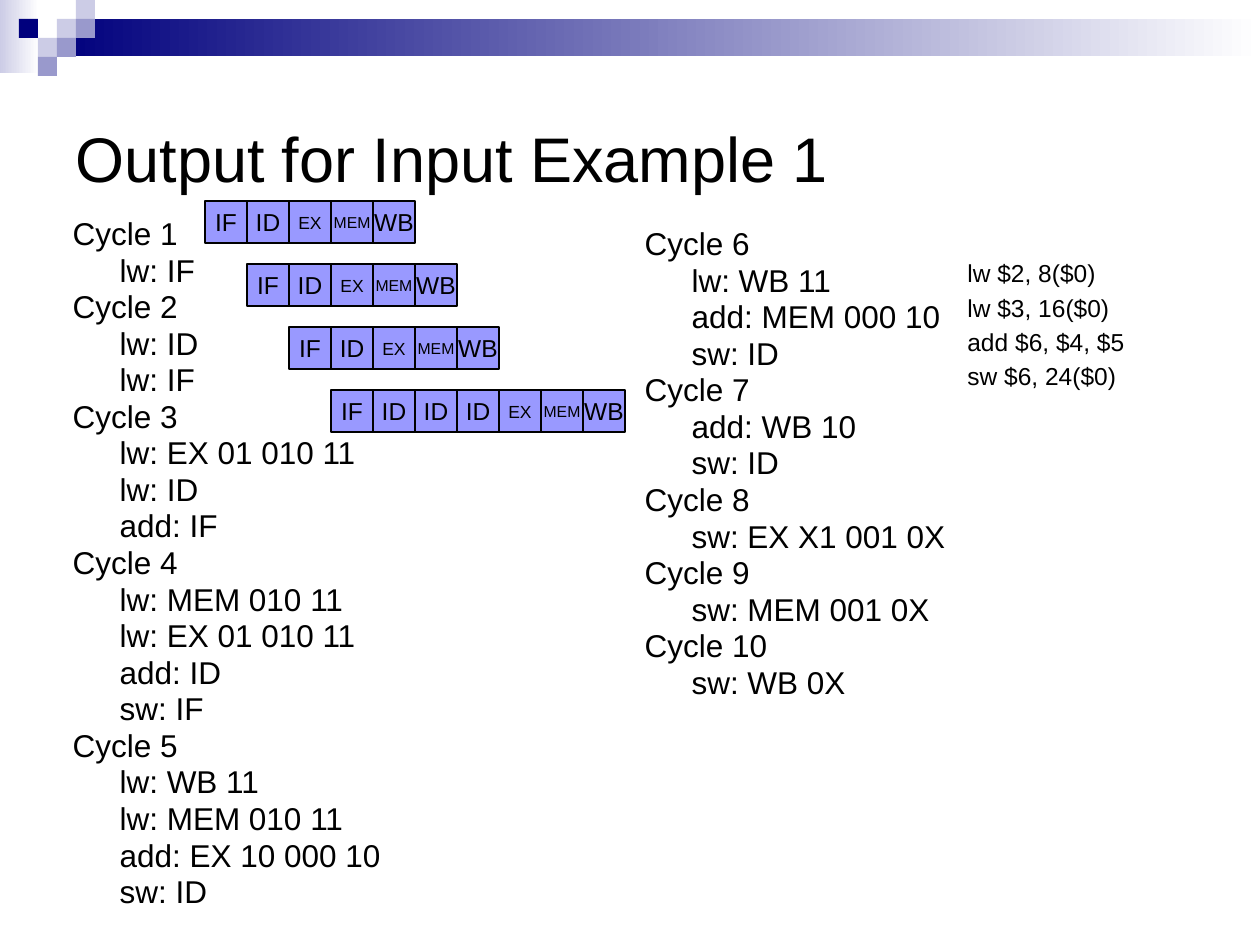
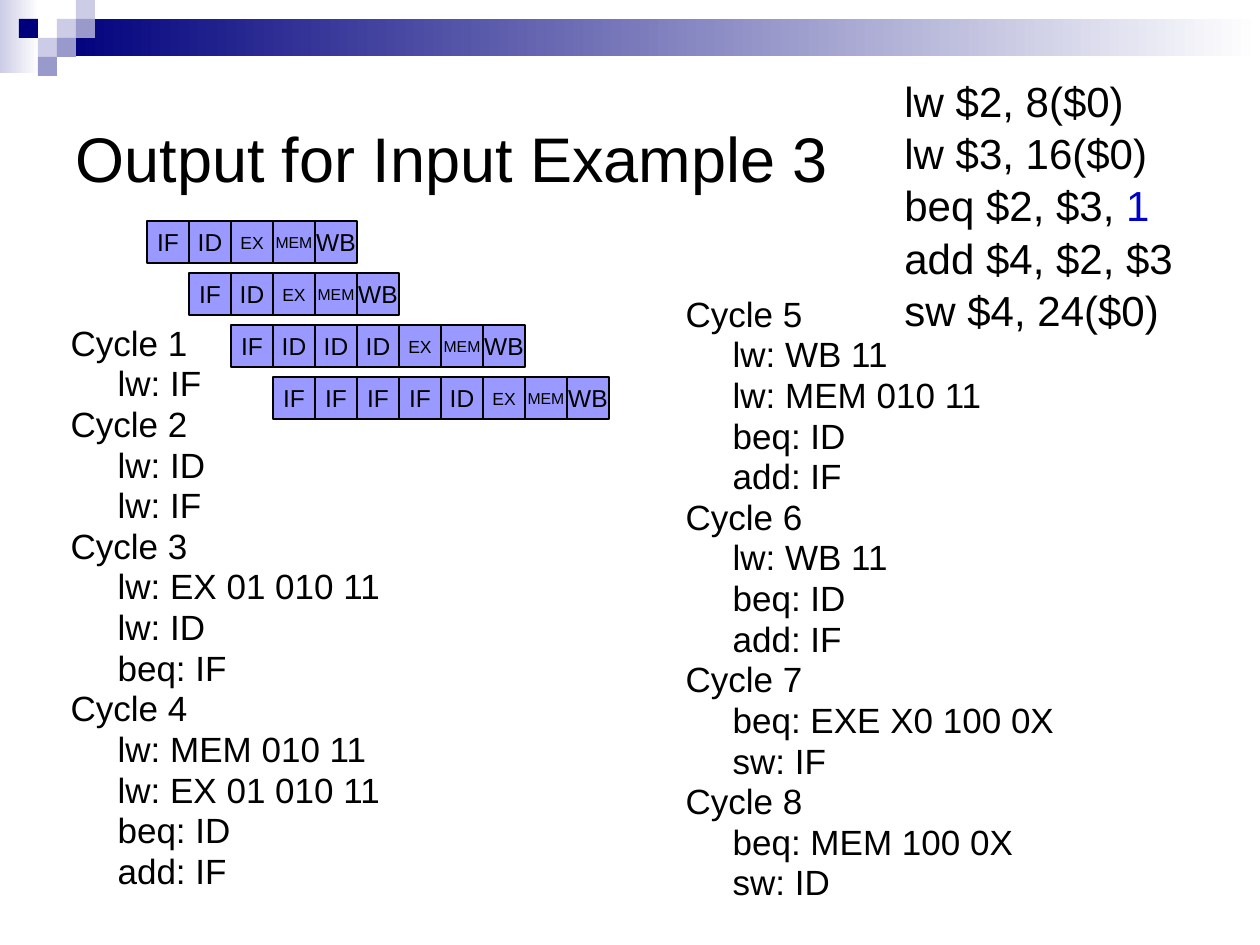
from lxml import etree
from pptx import Presentation
from pptx import util as u
from pptx.dml.color import RGBColor
from pptx.enum import shapes, text
from pptx.oxml.ns import qn

COLORS = {
    "navy": "00007D",
    "mid": "9999CC",
    "pale": "CCCCE6",
    "white": "FFFFFF",
    "black": "000000",
    "stage": "9999FF",
    "accent": "0000CC",
}
FONT = "Arial"
PX = 914400 / 126
SQUARE = 19
CELL = 42
STEP_INDENT = 47
STAGE_SIZES = {"EX": 10, "MEM": 9}
# (column, row, colour) on the grid of small squares at the top left
SQUARES = [
    (3, 1, "pale"), (4, 0, "pale"), (4, 1, "mid"), (2, 2, "pale"),
    (1, 1, "navy"), (3, 2, "mid"), (2, 3, "mid"),
]


def px(n):
    return u.Emu(round(n * PX))


def rgb(name):
    return RGBColor.from_string(COLORS[name])


def set_percent_before(p, percent):
    """Give the paragraph a space before it as a share of its line height."""
    spacing = p._p.get_or_add_pPr().get_or_add_spcBef()
    etree.SubElement(spacing, qn("a:spcPct"), val=str(percent * 1000))


class Deck:
    def __init__(self):
        self.prs = Presentation()
        self.prs.slide_width, self.prs.slide_height = u.Inches(10), u.Inches(7.5)
        self.slide = None

    def new_slide(self, title):
        self.slide = self.prs.slides.add_slide(self.prs.slide_layouts[3])
        self.band()
        sp = self.slide.shapes.title
        self.place(sp, (63, 63, 1134, 189))
        tf = sp.text_frame
        tf.text = title
        tf.auto_size = text.MSO_AUTO_SIZE.NONE
        tf.vertical_anchor = text.MSO_ANCHOR.MIDDLE
        p = tf.paragraphs[0]
        p.alignment = text.PP_ALIGN.LEFT
        self.style(p.runs[0], 36)

    def place(self, sp, box):
        sp.left, sp.top, sp.width, sp.height = map(px, box)

    def style(self, r, size, color="black"):
        r.font.name, r.font.size = FONT, u.Pt(size)
        r.font.color.rgb = rgb(color)

    def rect(self, box, color, fade_to=None):
        sp = self.slide.shapes.add_shape(shapes.MSO_SHAPE.RECTANGLE, *map(px, box))
        sp.shadow.inherit = False
        sp.line.fill.background()
        if fade_to:
            sp.fill.gradient()
            sp.fill.gradient_angle = 0
            for stop, name in zip(sp.fill.gradient_stops, (color, fade_to)):
                stop.color.rgb = rgb(name)
        else:
            sp.fill.solid()
            sp.fill.fore_color.rgb = rgb(color)
        return sp

    def band(self):
        self.rect((0, 0, 39, 73), "pale", "white")
        self.rect((57, 19, 1203, 37), "navy", "white")
        for col, row, color in SQUARES:
            self.rect((col * SQUARE, row * SQUARE, SQUARE, SQUARE), color)

    def cycles(self, index, box, size, first, steps_by_cycle):
        """Fill a body placeholder with numbered cycles and their indented steps."""
        sp = self.slide.placeholders[index]
        self.place(sp, box)
        lines = []
        for number, steps in enumerate(steps_by_cycle, first):
            lines.append((f"Cycle {number}", 0))
            lines += [(step, STEP_INDENT) for step in steps]
        tf = sp.text_frame
        tf.text = "\n".join(line for line, _ in lines)
        tf.auto_size = text.MSO_AUTO_SIZE.NONE
        for p, (_, indent) in zip(tf.paragraphs, lines):
            p.line_spacing = 0.8
            set_percent_before(p, 20)
            pPr = p._p.get_or_add_pPr()
            pPr.set("marL", str(px(indent)))
            pPr.set("indent", "0")
            etree.SubElement(pPr, qn("a:buNone"))
            self.style(p.runs[0], size)

    def code(self, box, size, lines, line_spacing=1.0, before=0):
        """Add a program listing; what follows a | is in the accent colour."""
        tf = self.slide.shapes.add_textbox(*map(px, box)).text_frame
        tf.word_wrap = True
        for i, line in enumerate(lines):
            p = tf.add_paragraph() if i else tf.paragraphs[0]
            p.line_spacing = line_spacing
            set_percent_before(p, before)
            for part, color in zip(line.split("|"), ("black", "accent")):
                r = p.add_run()
                r.text = part
                self.style(r, size, color)

    def stage(self, left, top, name):
        sp = self.rect((left, top, CELL, CELL), "stage")
        sp.line.color.rgb = rgb("black")
        sp.line.width = u.Pt(0.75)
        tf = sp.text_frame
        tf.text = name
        tf.word_wrap = False
        tf.vertical_anchor = text.MSO_ANCHOR.MIDDLE
        p = tf.paragraphs[0]
        p.alignment = text.PP_ALIGN.CENTER
        self.style(p.runs[0], STAGE_SIZES.get(name, 14))

    def pipeline(self, left, top, pitch, instructions):
        """Draw one row of stages per instruction, each starting a cycle later."""
        for row, stages in enumerate(instructions):
            for col, name in enumerate(stages.split()):
                self.stage(left + (row + col) * CELL, top + row * pitch, name)


def example_1(deck):
    deck.new_slide("Output for Input Example 1")
    deck.cycles(1, (60, 215, 557, 719), 18, 1, [
        ["lw: IF"],
        ["lw: ID", "lw: IF"],
        ["lw: EX 01 010 11", "lw: ID", "add: IF"],
        ["lw: MEM 010 11", "lw: EX 01 010 11", "add: ID", "sw: IF"],
        ["lw: WB 11", "lw: MEM 010 11", "add: EX 10 000 10", "sw: ID"],
    ])
    deck.cycles(2, (632, 225, 557, 715), 18, 6, [
        ["lw: WB 11", "add: MEM 000 10", "sw: ID"],
        ["add: WB 10", "sw: ID"],
        ["sw: EX X1 001 0X"],
        ["sw: MEM 001 0X"],
        ["sw: WB 0X"],
    ])
    deck.code((955, 252, 199, 168), 14, [
        "lw $2, 8($0)", "lw $3, 16($0)", "add $6, $4, $5", "sw $6, 24($0)",
    ], before=20)
    deck.pipeline(205, 201, 63, ["IF ID EX MEM WB"] * 3 + ["IF ID ID ID EX MEM WB"])


def example_3(deck):
    deck.new_slide("Output for Input Example 3")
    deck.cycles(1, (58, 323, 557, 620), 20, 1, [
        ["lw: IF"],
        ["lw: ID", "lw: IF"],
        ["lw: EX 01 010 11", "lw: ID", "beq: IF"],
        ["lw: MEM 010 11", "lw: EX 01 010 11", "beq: ID", "add: IF"],
    ])
    deck.cycles(2, (673, 294, 557, 536), 20, 5, [
        ["lw: WB 11", "lw: MEM 010 11", "beq: ID", "add: IF"],
        ["lw: WB 11", "beq: ID", "add: IF"],
        ["beq: EXE X0 100 0X", "sw: IF"],
        ["beq: MEM 100 0X", "sw: ID"],
    ])
    deck.code((892, 67, 368, 394), 24, [
        "lw $2, 8($0)", "lw $3, 16($0)", "beq $2, $3, |1",
        "add $4, $2, $3", "sw $4, 24($0)",
    ], line_spacing=1.04)
    deck.pipeline(147, 221, 52, ["IF ID EX MEM WB"] * 2 + [
        "IF ID ID ID EX MEM WB", "IF IF IF IF ID EX MEM WB",
    ])


def main():
    deck = Deck()
    example_1(deck)
    example_3(deck)
    deck.prs.save("out.pptx")


if __name__ == "__main__":
    main()
